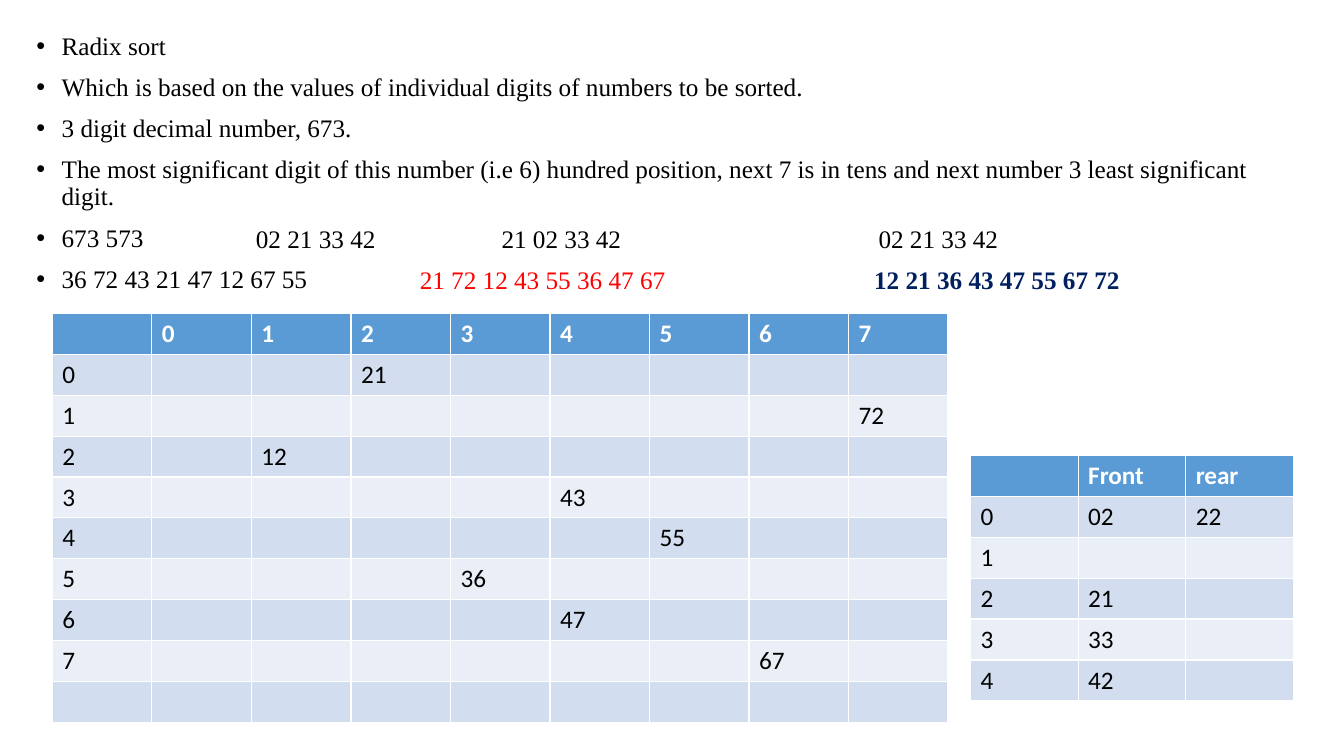
"""Build the radix sort slide with its bullets and two digit tables."""
from dataclasses import dataclass

from pptx import Presentation
from pptx.dml.color import RGBColor
from pptx.enum.text import MSO_ANCHOR
from pptx.util import Cm, Pt


@dataclass(frozen=True)
class Theme:
    """Colours, fonts and type sizes of the slide."""
    ink: str = "000000"
    light: str = "FFFFFF"
    first_pass: str = "FF0000"
    final_pass: str = "002060"
    header: str = "5B9BD5"
    bands: tuple = ("D2DEEF", "EAEFF7")
    body_font: str = "Times New Roman"
    table_font: str = "Calibri"
    size: int = 18


THEME = Theme()

BULLETS = (
    "Radix sort",
    "Which is based on the values of individual digits of numbers to be sorted.",
    "3 digit decimal number, 673.",
    "The most significant digit of this number (i.e 6) hundred position, "
    "next 7 is in tens and next number 3 least significant digit.",
    "673 573",
    "36 72 43 21 47 12 67 55",
)
EXAMPLE_PASSES = (
    (6.45, "02 21 33 42", THEME.ink, False),
    (12.64, "21 02 33 42", THEME.ink, False),
    (22.14, "02 21 33 42", THEME.ink, False),
)
SORT_PASSES = (
    (10.58, "21 72 12 43 55 36 47 67", THEME.first_pass, False),
    (22.03, "12 21 36 43 47 55 67 72", THEME.final_pass, True),
)
BUCKETS = ("21", "72", "12", "43", "55", "36", "47", "67")
QUEUES = (
    ("", "Front", "rear"),
    ("0", "02", "22"),
    ("1", "", ""),
    ("2", "21", ""),
    ("3", "33", ""),
    ("4", "42", ""),
)


def style(paragraph, font_name, color, bold=False):
    """Set the font of a whole paragraph."""
    font = paragraph.font
    font.name, font.size, font.bold = font_name, Pt(THEME.size), bold
    font.color.rgb = RGBColor.from_string(color)


def add_bullets(body, left, top, width, height):
    """Place the body placeholder and fill it with the bullets."""
    body.left, body.top = Cm(left), Cm(top)
    body.width, body.height = Cm(width), Cm(height)
    body.text_frame.text = "\n".join(BULLETS)
    for bullet in body.text_frame.paragraphs:
        style(bullet, THEME.body_font, THEME.ink)
        bullet.line_spacing = 0.9
        bullet.space_before = Pt(10)
        properties = bullet._p.get_or_add_pPr()
        properties.set("marL", str(Cm(0.64)))
        properties.set("indent", str(-Cm(0.64)))


def add_passes(slide, top, passes):
    """Put the later passes of a sort on the line of its bullet."""
    for left, numbers, color, bold in passes:
        line = slide.shapes.add_textbox(Cm(left), Cm(top), Cm(7), Cm(0.76))
        frame = line.text_frame
        frame.word_wrap = True
        frame.margin_left = frame.margin_right = 0
        frame.margin_top = frame.margin_bottom = 0
        frame.vertical_anchor = MSO_ANCHOR.MIDDLE
        frame.text = numbers
        style(frame.paragraphs[0], THEME.body_font, color, bold)


def add_digit_table(slide, left, top, width, height, rows):
    """Draw a banded table with a header row in the given box."""
    table = slide.shapes.add_table(
        len(rows), len(rows[0]), Cm(left), Cm(top), Cm(width), Cm(height)).table
    for row_index, row in enumerate(rows):
        is_header = row_index == 0
        fill = THEME.header if is_header else THEME.bands[(row_index - 1) % 2]
        color = THEME.light if is_header else THEME.ink
        for column_index, value in enumerate(row):
            cell = table.cell(row_index, column_index)
            cell.fill.solid()
            cell.fill.fore_color.rgb = RGBColor.from_string(fill)
            cell.text = value
            style(cell.text_frame.paragraphs[0], THEME.table_font, color, is_header)


def bucket_rows():
    """Place each number in the column of its tens digit."""
    digits = [str(digit) for digit in range(len(BUCKETS))]
    rows = [["", *digits]]
    for digit, number in zip(digits, BUCKETS):
        rows.append([digit, *(number if number[0] == tens else "" for tens in digits)])
    rows.append([""] * len(rows[0]))
    return rows


def add_radix_slide(presentation):
    """Add the slide with its bullets, passes and tables."""
    slide = presentation.slides.add_slide(presentation.slide_layouts[1])
    title = slide.shapes.title.element
    title.getparent().remove(title)
    add_bullets(slide.placeholders[1], 0.66, 0.71, 32.36, 17.5)
    add_passes(slide, 5.62, EXAMPLE_PASSES)
    add_passes(slide, 6.67, SORT_PASSES)
    add_digit_table(slide, 1.32, 7.9, 22.58, 10.3, bucket_rows())
    add_digit_table(slide, 24.46, 11.48, 8.13, 6.18, QUEUES)


def main():
    """Build and save the presentation."""
    presentation = Presentation()
    presentation.slide_width, presentation.slide_height = Cm(33.87), Cm(19.05)
    add_radix_slide(presentation)
    presentation.save("out.pptx")


if __name__ == "__main__":
    main()
